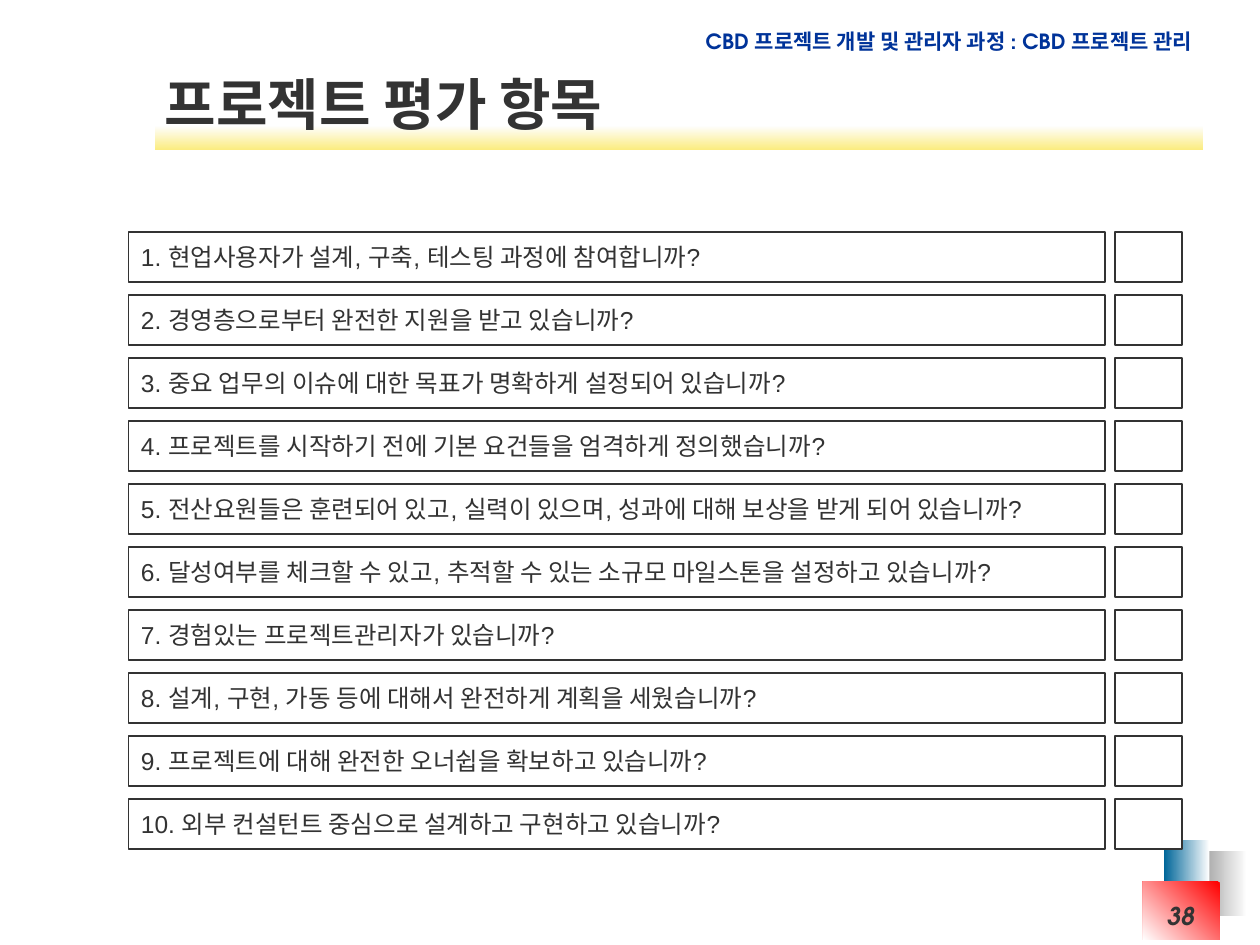
import pptx
import pptx.util
import pptx.dml.color
import pptx.enum.shapes
import pptx.enum.text
import lxml.etree

RGB = pptx.dml.color.RGBColor
Inches, Pt = pptx.util.Inches, pptx.util.Pt
ALIGN = pptx.enum.text.PP_ALIGN
ANCHOR = pptx.enum.text.MSO_ANCHOR

WHITE = RGB(0xFF, 0xFF, 0xFF)
DARK = RGB(0x33, 0x33, 0x33)
NAVY = RGB(0x00, 0x33, 0x99)
GRAY = RGB(0x96, 0x96, 0x96)
TEAL = RGB(0x00, 0x66, 0x99)
RED = RGB(0xFF, 0x00, 0x00)
PALE = RGB(0xFE, 0xFE, 0xFE)
YELLOW = RGB(0xFB, 0xEC, 0x7F)

BODY_FONT, KOREAN_FONT, ACCENT_FONT = "Arial", "Noto Sans CJK KR", "TeX Gyre Adventor"

HEADER = "CBD 프로젝트 개발 및 관리자 과정 : CBD 프로젝트 관리"
TITLE = "프로젝트 평가 항목"
PAGE_NUMBER = "38"
QUESTIONS = [
    "현업사용자가 설계, 구축, 테스팅 과정에 참여합니까?",
    "경영층으로부터 완전한 지원을 받고 있습니까?",
    "중요 업무의 이슈에 대한 목표가 명확하게 설정되어 있습니까?",
    "프로젝트를 시작하기 전에 기본 요건들을 엄격하게 정의했습니까?",
    "전산요원들은 훈련되어 있고, 실력이 있으며, 성과에 대해 보상을 받게 되어 있습니까?",
    "달성여부를 체크할 수 있고, 추적할 수 있는 소규모 마일스톤을 설정하고 있습니까?",
    "경험있는 프로젝트관리자가 있습니까?",
    "설계, 구현, 가동 등에 대해서 완전하게 계획을 세웠습니까?",
    "프로젝트에 대해 완전한 오너쉽을 확보하고 있습니까?",
    "외부 컨설턴트 중심으로 설계하고 구현하고 있습니까?",
]

# (left, top, width, height), start colour, end colour, counter-clockwise angle
GRADIENT_BARS = [
    ((9.5, 6.75, 0.4, 0.52), WHITE, GRAY, 180),
    ((9.24, 6.67, 0.36, 0.52), WHITE, TEAL, 180),
    ((9.07, 7, 0.61, 0.46), RED, WHITE, 225),
    ((1.23, 1, 8.32, 0.19), PALE, YELLOW, 270),
]

ROW_TOP, ROW_PITCH, ROW_HEIGHT = 1.84, 0.5, 0.4
QUESTION_COLUMN = (1.02, 7.75)
CHECK_COLUMN = (8.85, 0.53)


def add_rect(slide, box):
    s = slide.shapes.add_shape(pptx.enum.shapes.MSO_SHAPE.RECTANGLE, *map(Inches, box))
    s.shadow.inherit = False
    return s


def add_gradient_bar(slide, box, start, end, angle):
    s = add_rect(slide, box)
    s.line.fill.background()
    s.fill.gradient()
    s.fill.gradient_angle = angle
    for stop, color in zip(s.fill.gradient_stops, (start, end)):
        stop.color.rgb = color


def add_cell(slide, column, top):
    left, width = column
    s = add_rect(slide, (left, top, width, ROW_HEIGHT))
    s.fill.solid()
    s.fill.fore_color.rgb = WHITE
    s.line.color.rgb = DARK
    s.line.width = Pt(1)
    return s


def write(s, text, size, font, color=DARK, bold=False, italic=False,
          align=ALIGN.LEFT, anchor=ANCHOR.TOP, wrap=True):
    tf = s.text_frame
    tf.word_wrap = wrap
    tf.vertical_anchor = anchor
    p = tf.paragraphs[0]
    p.alignment = align
    r = p.add_run()
    r.text = text
    r.font.size = Pt(size)
    r.font.name = font
    r.font.color.rgb = color
    r.font.bold = bold
    r.font.italic = italic
    latin = r.font._element.find(pptx.oxml.ns.qn("a:latin"))
    east_asian = lxml.etree.Element(pptx.oxml.ns.qn("a:ea"), typeface=KOREAN_FONT)
    latin.addnext(east_asian)


def add_text(slide, box, *args, **kwargs):
    write(slide.shapes.add_textbox(*map(Inches, box)), *args, **kwargs)


def main():
    prs = pptx.Presentation()
    prs.slide_width, prs.slide_height = Inches(10), Inches(7.5)
    slide = prs.slides.add_slide(prs.slide_layouts[6])

    for bar in GRADIENT_BARS:
        add_gradient_bar(slide, *bar)
    add_text(slide, (5.4, 0.18, 4.16, 0.3), HEADER, 12, ACCENT_FONT, NAVY,
             bold=True, align=ALIGN.RIGHT)
    add_text(slide, (1.21, 0.51, 8.32, 0.61), TITLE, 32, KOREAN_FONT,
             bold=True, anchor=ANCHOR.MIDDLE)

    for i, question in enumerate(QUESTIONS):
        top = ROW_TOP + i * ROW_PITCH
        write(add_cell(slide, QUESTION_COLUMN, top), f"{i + 1}. {question}", 14,
              BODY_FONT, anchor=ANCHOR.MIDDLE, wrap=False)
        add_cell(slide, CHECK_COLUMN, top)

    add_text(slide, (8.35, 7.1, 1.23, 0.4), PAGE_NUMBER, 14, ACCENT_FONT,
             bold=True, italic=True, align=ALIGN.RIGHT)
    prs.save("out.pptx")


if __name__ == "__main__":
    main()
